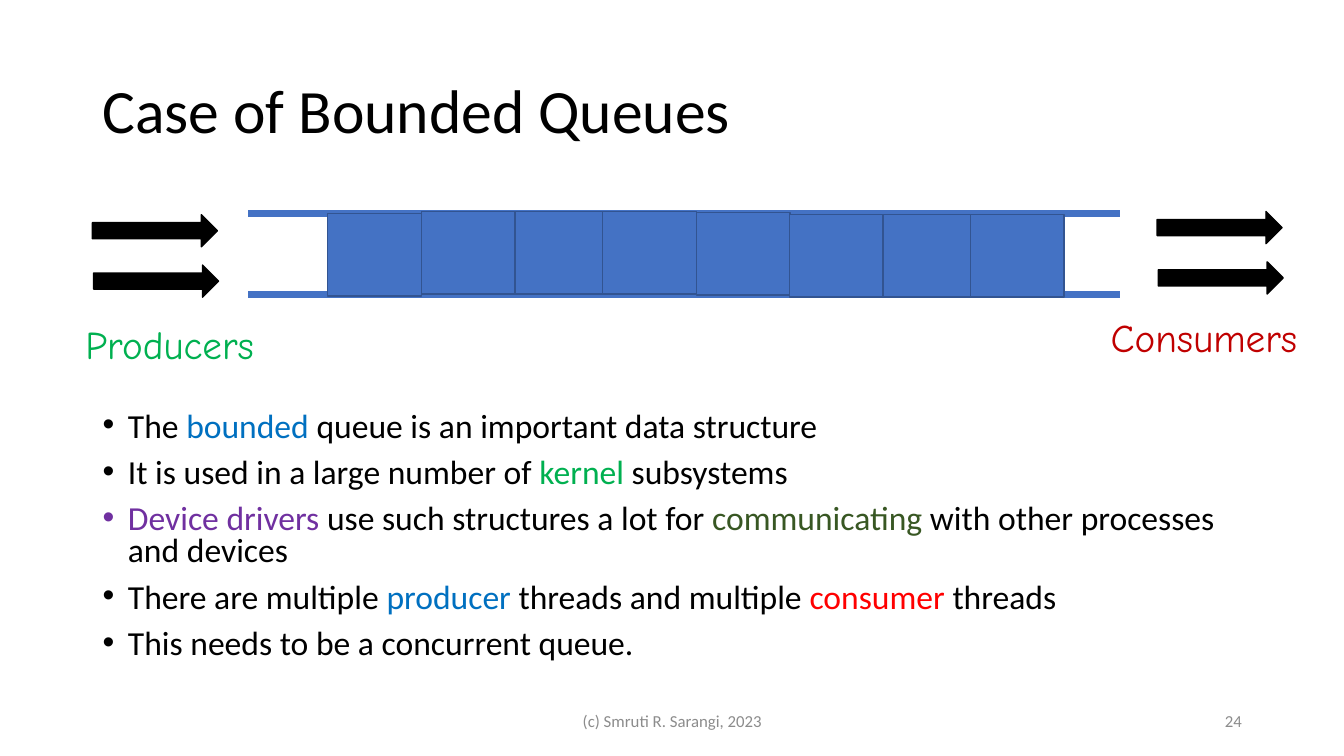
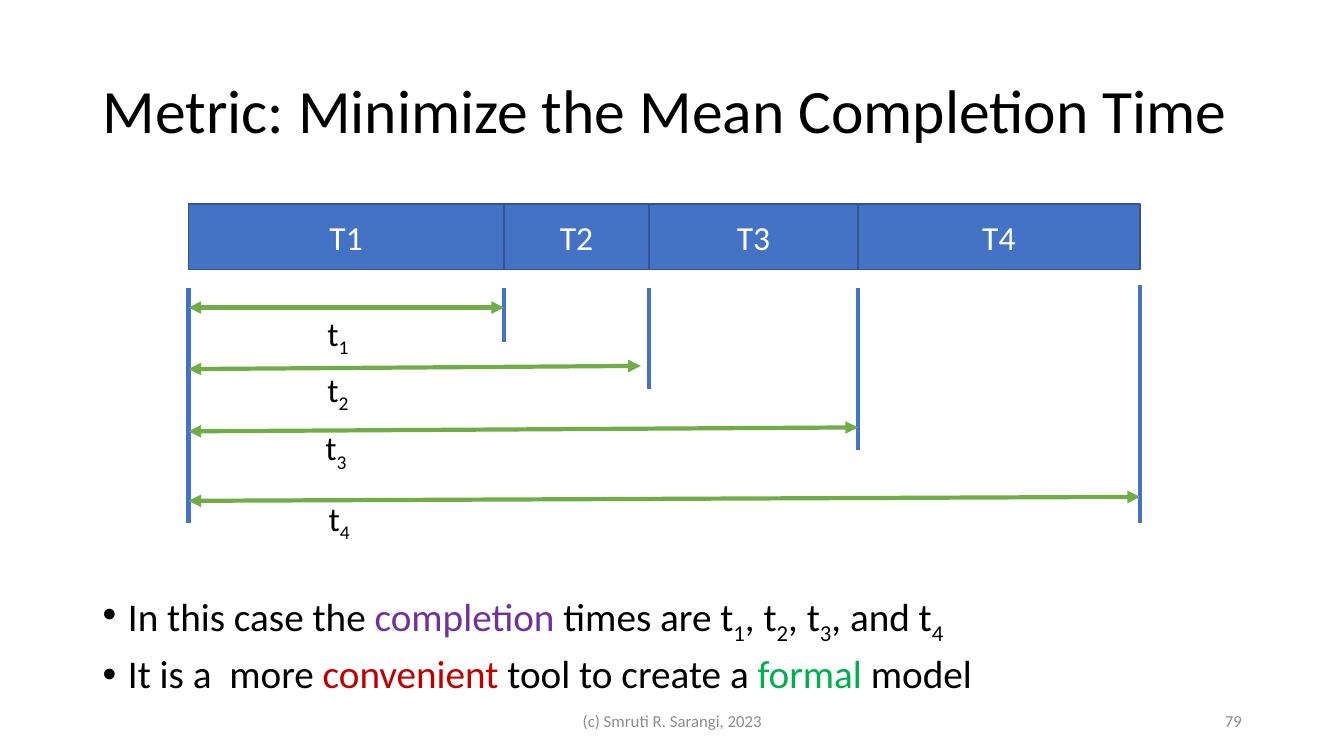
from dataclasses import dataclass
from itertools import pairwise

from lxml.etree import SubElement
from pptx import Presentation
from pptx.dml.color import RGBColor
from pptx.enum.shapes import MSO_CONNECTOR as Connector, MSO_SHAPE as Shape
from pptx.enum.text import MSO_ANCHOR as Anchor, MSO_AUTO_SIZE as AutoSize, PP_ALIGN as Align
from pptx.oxml.ns import qn
from pptx.util import Cm, Pt

COLORS = {
    "black": "000000",
    "white": "FFFFFF",
    "gray": "8C8C8C",
    "box": "4472C4",
    "border": "325491",
    "span": "70AD47",
    "blue": "0070C0",
    "green": "00B050",
    "purple": "7030A0",
    "olive": "385723",
    "red": "FF0000",
    "crimson": "C00000",
}
FONT = "Calibri"
LABEL_FONT = "Comic Neue"
FOOTER = "(c) Smruti R. Sarangi, 2023"


@dataclass(frozen=True)
class Run:
    text: str
    color: str = "black"
    subscript: bool = False


@dataclass(frozen=True)
class Box:
    left: float
    top: float
    width: float
    height: float


@dataclass(frozen=True)
class Line:
    x1: float
    y1: float
    x2: float
    y2: float
    color: str = "box"
    width: float = 3
    arrows: bool = False


@dataclass(frozen=True)
class BodyStyle:
    box: Box
    size: float
    line_spacing: float


@dataclass(frozen=True)
class Completion:
    index: str
    end: float
    start_y: float
    end_y: float
    label_left: float
    label_top: float


TITLE_BOX = Box(2.33, 1.02, 29.21, 3.68)
FOOTER_BOX = Box(11.23, 17.65, 11.43, 1.02)
NUMBER_BOX = Box(23.93, 17.65, 7.62, 1.02)


def rgb(name: str) -> RGBColor:
    return RGBColor.from_string(COLORS[name])


def place(shape, box: Box) -> None:
    shape.left, shape.top = Cm(box.left), Cm(box.top)
    shape.width, shape.height = Cm(box.width), Cm(box.height)


def add_runs(paragraph, runs: list[Run], size: float, font: str = FONT) -> None:
    for item in runs:
        run = paragraph.add_run()
        run.text = item.text
        run.font.name = font
        run.font.size = Pt(size)
        run.font.color.rgb = rgb(item.color)
        if item.subscript:
            run._r.get_or_add_rPr().set("baseline", "-25000")


def add_text(slide, box: Box, runs: list[Run], size: float, font: str = FONT,
             align=Align.LEFT, anchor=Anchor.TOP, wrap: bool = True) -> None:
    shape = slide.shapes.add_textbox(0, 0, 0, 0)
    place(shape, box)
    frame = shape.text_frame
    frame.word_wrap = wrap
    frame.vertical_anchor = anchor
    paragraph = frame.paragraphs[0]
    paragraph.alignment = align
    add_runs(paragraph, runs, size, font)


def add_filled(slide, kind, box: Box, fill: str = "box", border: str = "border",
               text: str = "") -> None:
    shape = slide.shapes.add_shape(kind, 0, 0, 0, 0)
    place(shape, box)
    shape.shadow.inherit = False
    shape.fill.solid()
    shape.fill.fore_color.rgb = rgb(fill)
    shape.line.color.rgb = rgb(border)
    shape.line.width = Pt(1)
    if text:
        shape.text_frame.vertical_anchor = Anchor.MIDDLE
        paragraph = shape.text_frame.paragraphs[0]
        paragraph.alignment = Align.CENTER
        add_runs(paragraph, [Run(text, "white")], 24)


def add_line(slide, line: Line) -> None:
    connector = slide.shapes.add_connector(
        Connector.STRAIGHT, Cm(line.x1), Cm(line.y1), Cm(line.x2), Cm(line.y2))
    connector.line.color.rgb = rgb(line.color)
    connector.line.width = Pt(line.width)
    properties = connector._element.spPr
    if line.arrows:
        for end in ("a:headEnd", "a:tailEnd"):
            SubElement(properties.find(qn("a:ln")), qn(end)).set("type", "triangle")
    SubElement(properties, qn("a:effectLst"))


def add_bullet(paragraph) -> None:
    properties = paragraph._p.get_or_add_pPr()
    properties.set("marL", str(Cm(0.64)))
    properties.set("indent", str(-Cm(0.64)))
    SubElement(properties, qn("a:buFont")).set("typeface", "Arial")
    SubElement(properties, qn("a:buChar")).set("char", "•")


def fill_body(body, style: BodyStyle, bullets: list[list[Run]]) -> None:
    place(body, style.box)
    frame = body.text_frame
    frame.auto_size = AutoSize.NONE
    for index, runs in enumerate(bullets):
        paragraph = frame.add_paragraph() if index else frame.paragraphs[0]
        add_bullet(paragraph)
        paragraph.line_spacing = style.line_spacing
        paragraph.space_before = Pt(10 if index else 0)
        add_runs(paragraph, runs, style.size)


def add_slide(presentation, title: str, number: int, style: BodyStyle,
              bullets: list[list[Run]]):
    slide = presentation.slides.add_slide(presentation.slide_layouts[1])
    heading = slide.shapes.title
    place(heading, TITLE_BOX)
    frame = heading.text_frame
    frame.auto_size = AutoSize.NONE
    frame.vertical_anchor = Anchor.MIDDLE
    paragraph = frame.paragraphs[0]
    paragraph.alignment = Align.LEFT
    paragraph.line_spacing = 0.9
    add_runs(paragraph, [Run(title)], 44)
    fill_body(slide.placeholders[1], style, bullets)
    for box, text, align in ((FOOTER_BOX, FOOTER, Align.CENTER),
                             (NUMBER_BOX, str(number), Align.RIGHT)):
        add_text(slide, box, [Run(text, "gray")], 12, align=align, anchor=Anchor.MIDDLE)
    return slide


def build_queue_slide(presentation) -> None:
    bullets = [
        [Run("The "), Run("bounded", "blue"), Run(" queue is an important data structure")],
        [Run("It is used in a large number of "), Run("kernel", "green"), Run(" subsystems")],
        [Run("Device drivers ", "purple"), Run("use such structures a lot for "),
         Run("communicating", "olive"), Run(" with other processes and devices")],
        [Run("There are multiple "), Run("producer", "blue"),
         Run(" threads and multiple "), Run("consumer", "red"), Run(" threads")],
        [Run("This needs to be a concurrent queue.")],
    ]
    style = BodyStyle(Box(2.33, 10.26, 29.21, 7.09), 24, 0.8)
    slide = add_slide(presentation, "Case of Bounded Queues", 24, style, bullets)

    for rail_y in (5.38, 7.42):
        add_line(slide, Line(28.22, rail_y, 6.25, rail_y, width=4.5))

    cell_lefts = (8.26, 10.62, 12.98, 15.19, 17.55, 19.89, 22.25, 24.46)
    cell_tops = (5.38, 5.33, 5.33, 5.33, 5.36, 5.41, 5.41, 5.41)
    for left, top in zip(cell_lefts, cell_tops):
        add_filled(slide, Shape.RECTANGLE, Box(left, top, 2.36, 2.08))

    for left, top in ((2.33, 5.41), (29.16, 5.33)):
        for row in range(2):
            box = Box(left + 0.03 * row, top + 1.27 * row, 3.15, 0.81)
            add_filled(slide, Shape.RIGHT_ARROW, box, "black", "black")

    for left, top, text, color in ((1.9, 7.95, "Producers", "green"),
                                   (27.74, 7.77, "Consumers", "crimson")):
        add_text(slide, Box(left, top, 5.44, 1.45), [Run(text, color)], 28, LABEL_FONT)


def time_runs(prefix: str, index: str) -> list[Run]:
    return [Run(prefix + "t"), Run(index, subscript=True)]


def build_metric_slide(presentation) -> None:
    bullets = [
        [Run("In this case the "), Run("completion", "purple"),
         *time_runs(" times are ", "1"), *time_runs(", ", "2"),
         *time_runs(", ", "3"), *time_runs(", and ", "4")],
        [Run("It is a  more "), Run("convenient", "crimson"),
         Run(" tool to create a "), Run("formal", "green"), Run(" model")],
    ]
    style = BodyStyle(Box(2.33, 14.81, 29.21, 2.82), 28, 0.9)
    slide = add_slide(presentation, "Metric: Minimize the Mean Completion Time", 79,
                      style, bullets)

    edges = (4.75, 12.7, 16.36, 21.62, 28.73)
    for number, (left, right) in enumerate(pairwise(edges), 1):
        add_filled(slide, Shape.RECTANGLE, Box(left, 5.14, right - left, 1.65),
                   text=f"T{number}")

    tick_tops = (7.26, 7.26, 7.26, 7.26, 7.19)
    tick_bottoms = (13.18, 8.61, 9.8, 11.33, 13.18)
    for edge, top, bottom in zip(edges, tick_tops, tick_bottoms):
        add_line(slide, Line(edge, top, edge, bottom))

    completions = (
        Completion("1", edges[1], 7.75, 7.75, 8.0, 7.75),
        Completion("2", 16.15, 9.3, 9.22, 8.0, 9.17),
        Completion("3", edges[3], 10.87, 10.77, 7.95, 10.64),
        Completion("4", edges[4], 12.62, 12.52, 8.03, 12.42),
    )
    for item in completions:
        add_line(slide, Line(edges[0], item.start_y, item.end, item.end_y, "span",
                             arrows=True))
        add_text(slide, Box(item.label_left, item.label_top, 1.09, 1.27),
                 time_runs("", item.index), 24, wrap=False)


def main() -> None:
    presentation = Presentation()
    presentation.slide_width = Cm(33.87)
    presentation.slide_height = Cm(19.05)
    build_queue_slide(presentation)
    build_metric_slide(presentation)
    presentation.save("out.pptx")


if __name__ == "__main__":
    main()
